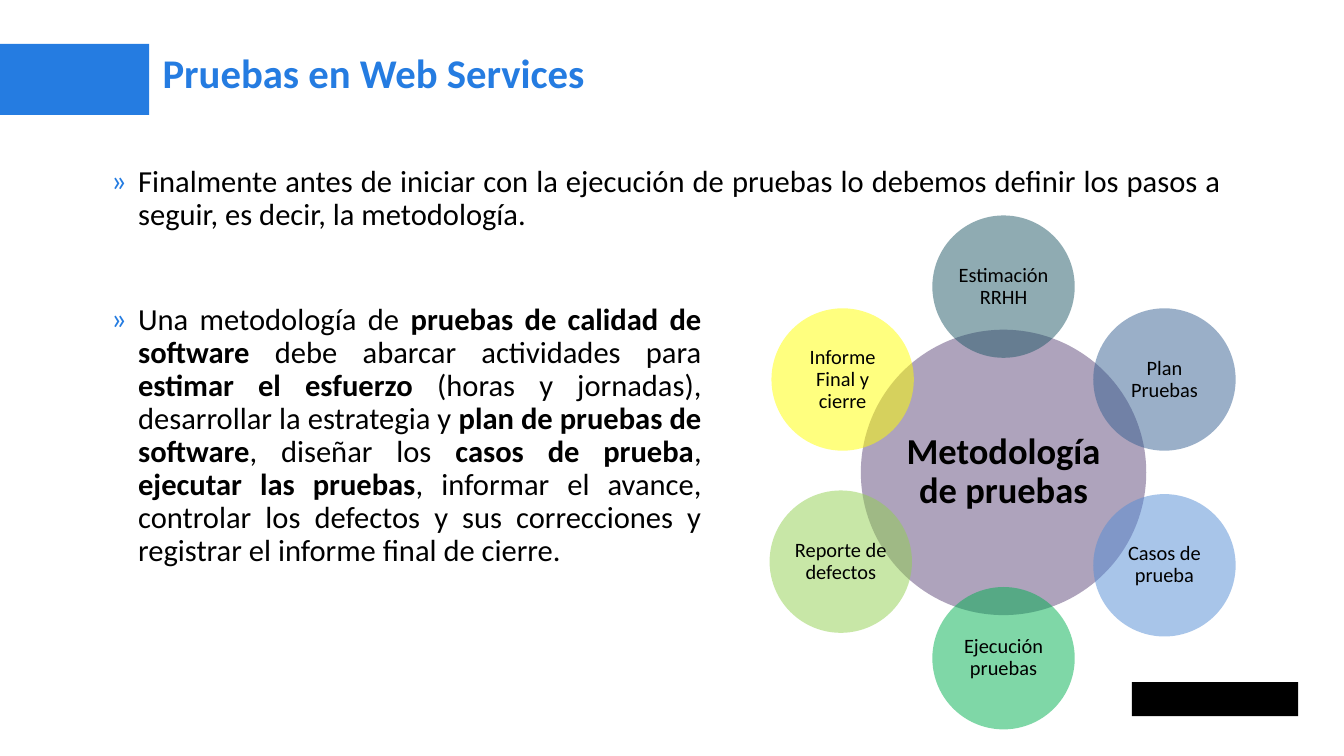
from math import cos, radians, sin

from lxml.etree import SubElement
from pptx import Presentation
from pptx.dml.color import RGBColor
from pptx.enum.shapes import MSO_SHAPE
from pptx.enum.text import MSO_ANCHOR, MSO_AUTO_SIZE, PP_ALIGN
from pptx.oxml.ns import qn
from pptx.util import Emu, Pt

EMU_PER_PX = 9144  # 100 px to the inch
BLUE = "257CE1"
BLACK = "000000"

# Ring of steps: centre, distance to the steps and diameters
CENTER_X, CENTER_Y = 1642, 773
RING_RADIUS = 304
HUB_DIAMETER, STEP_DIAMETER = 467, 233

# Clockwise from the top: label, colour, shift from the regular ring
STEPS = [
    ("Estimación RRHH", "205867", (0, 0)),
    ("Plan Pruebas", "366092", (0, 0)),
    ("Casos de prueba", "538CD5", (0, 0)),
    ("Ejecución pruebas", "00B050", (0, 0)),
    ("Reporte de defectos", "92D050", (-3, -6)),
    ("Informe Final y cierre", "FFFF00", (0, 0)),
]

# Text between bars is bold
INTRO = ("Finalmente antes de iniciar con la ejecución de pruebas lo debemos "
         "definir los pasos a seguir, es decir, la metodología.")
METHODOLOGY = (
    "Una metodología de |pruebas de calidad de software| debe abarcar "
    "actividades para |estimar el esfuerzo| (horas y jornadas), desarrollar "
    "la estrategia y |plan de pruebas de software|, diseñar los |casos de "
    "prueba|, |ejecutar las pruebas|, informar el avance, controlar los "
    "defectos y sus correcciones y registrar el informe final de cierre.")


def px(length):
    return Emu(round(length * EMU_PER_PX))


def color(hex_string):
    return RGBColor.from_string(hex_string)


def apply(target, formats):
    for attribute, value in formats.items():
        setattr(target, attribute, value)


def place(shape, left, top, width, height):
    apply(shape, {"left": px(left), "top": px(top),
                  "width": px(width), "height": px(height)})


def format_frame(frame, margin_x, margin_y, anchor):
    apply(frame, {
        "margin_left": px(margin_x), "margin_right": px(margin_x),
        "margin_top": px(margin_y), "margin_bottom": px(margin_y),
        "vertical_anchor": anchor, "word_wrap": True,
        "auto_size": MSO_AUTO_SIZE.NONE,
    })


def write(paragraph, marked_text, size, hex_string, align, bold=False, spacing=0.9):
    apply(paragraph, {"alignment": align, "line_spacing": spacing,
                      "space_before": Pt(0)})
    for index, part in enumerate(marked_text.split("|")):
        run = paragraph.add_run()
        run.text = part
        apply(run.font, {"name": "Calibri", "size": Pt(size),
                         "bold": bold or index % 2 == 1})
        run.font.color.rgb = color(hex_string)


def add_plain_shape(slide, kind, left, top, width, height, hex_string):
    shape = slide.shapes.add_shape(kind, px(left), px(top), px(width), px(height))
    shape.shadow.inherit = False
    shape.fill.solid()
    shape.fill.fore_color.rgb = color(hex_string)
    shape.line.fill.background()
    return shape


def add_circle(slide, center_x, center_y, diameter, hex_string, label,
               size, margin, bold=False):
    circle = add_plain_shape(slide, MSO_SHAPE.OVAL, center_x - diameter / 2,
                             center_y - diameter / 2, diameter, diameter, hex_string)
    fill_color = circle.element.spPr.find(qn("a:solidFill")).find(qn("a:srgbClr"))
    SubElement(fill_color, qn("a:alpha"), val="50000")
    format_frame(circle.text_frame, margin, margin, MSO_ANCHOR.MIDDLE)
    write(circle.text_frame.paragraphs[0], label, size, BLACK, PP_ALIGN.CENTER, bold)


def fill_title(title, text):
    place(title, 266, 78, 1858, 81)
    format_frame(title.text_frame, 0, 0, MSO_ANCHOR.TOP)
    write(title.text_frame.paragraphs[0], text, 48, BLUE, PP_ALIGN.LEFT,
          bold=True, spacing=1.0)


def fill_bullet(body, box, marked_text):
    place(body, *box)
    format_frame(body.text_frame, 10, 5, MSO_ANCHOR.TOP)
    paragraph = body.text_frame.paragraphs[0]
    write(paragraph, marked_text, 36, BLACK, PP_ALIGN.JUSTIFY)
    properties = paragraph._p.get_or_add_pPr()
    properties.set("marL", str(px(50)))
    properties.set("indent", str(px(-44)))
    bullet_color = SubElement(properties, qn("a:buClr"))
    SubElement(bullet_color, qn("a:srgbClr"), val=BLUE)
    SubElement(properties, qn("a:buFont"), typeface="Calibri")
    SubElement(properties, qn("a:buChar"), char="»")


def add_methodology_ring(slide):
    add_circle(slide, CENTER_X, CENTER_Y, HUB_DIAMETER, "5F497A",
               "Metodología de pruebas", 43, 6, bold=True)
    for index, (label, hex_string, (shift_x, shift_y)) in enumerate(STEPS):
        angle = radians(index * 360 / len(STEPS))
        add_circle(slide, CENTER_X + RING_RADIUS * sin(angle) + shift_x,
                   CENTER_Y - RING_RADIUS * cos(angle) + shift_y,
                   STEP_DIAMETER, hex_string, label, 24, 3)


def main():
    deck = Presentation()
    apply(deck, {"slide_width": px(2199), "slide_height": px(1237)})
    slide = deck.slides.add_slide(deck.slide_layouts[3])
    title, intro, methodology = slide.placeholders

    # Title band and plain block in the logo's place
    add_plain_shape(slide, MSO_SHAPE.RECTANGLE, -1, 72, 245, 116, BLUE)
    add_plain_shape(slide, MSO_SHAPE.RECTANGLE, 1852, 1116, 272, 56, BLACK)

    # Title and list
    fill_title(title, "Pruebas en Web Services")
    fill_bullet(intro, (166, 267, 1842, 119), INTRO)
    fill_bullet(methodology, (166, 493, 992, 446), METHODOLOGY)

    # Diagram
    add_methodology_ring(slide)

    deck.save("out.pptx")


if __name__ == "__main__":
    main()
